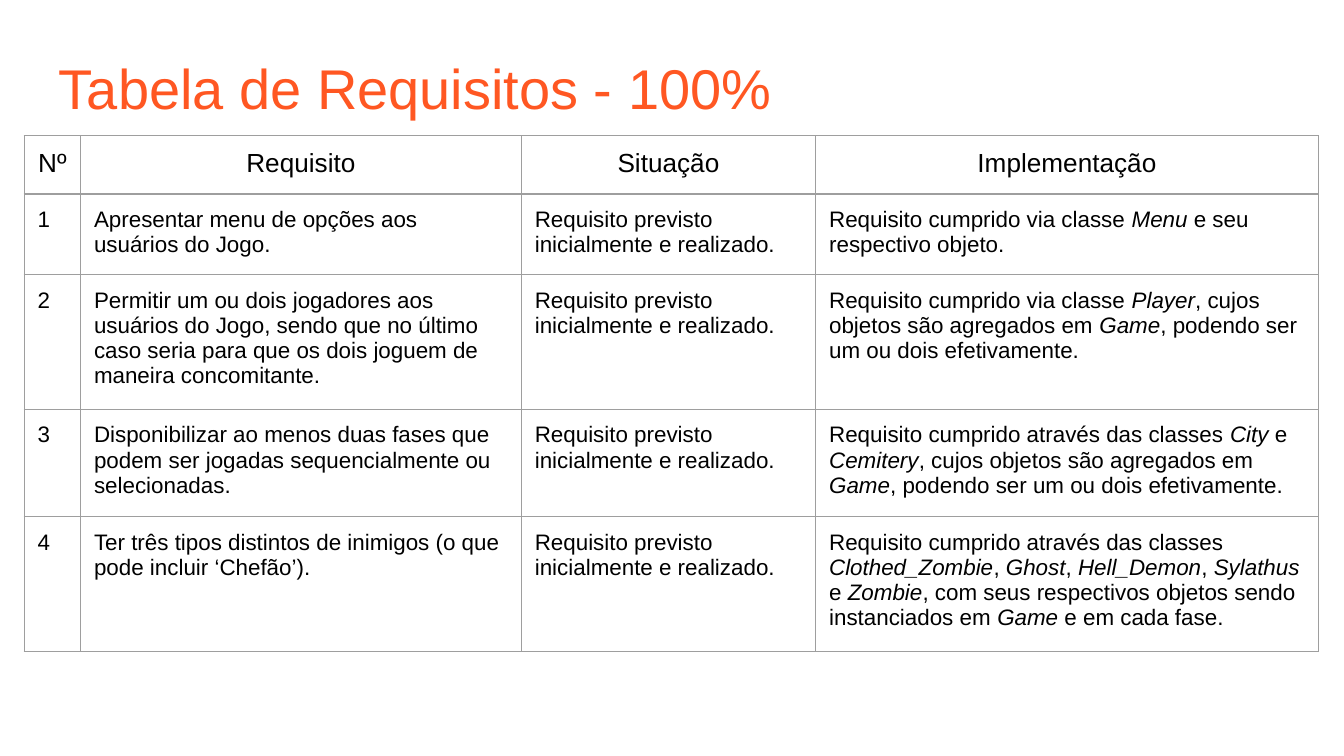
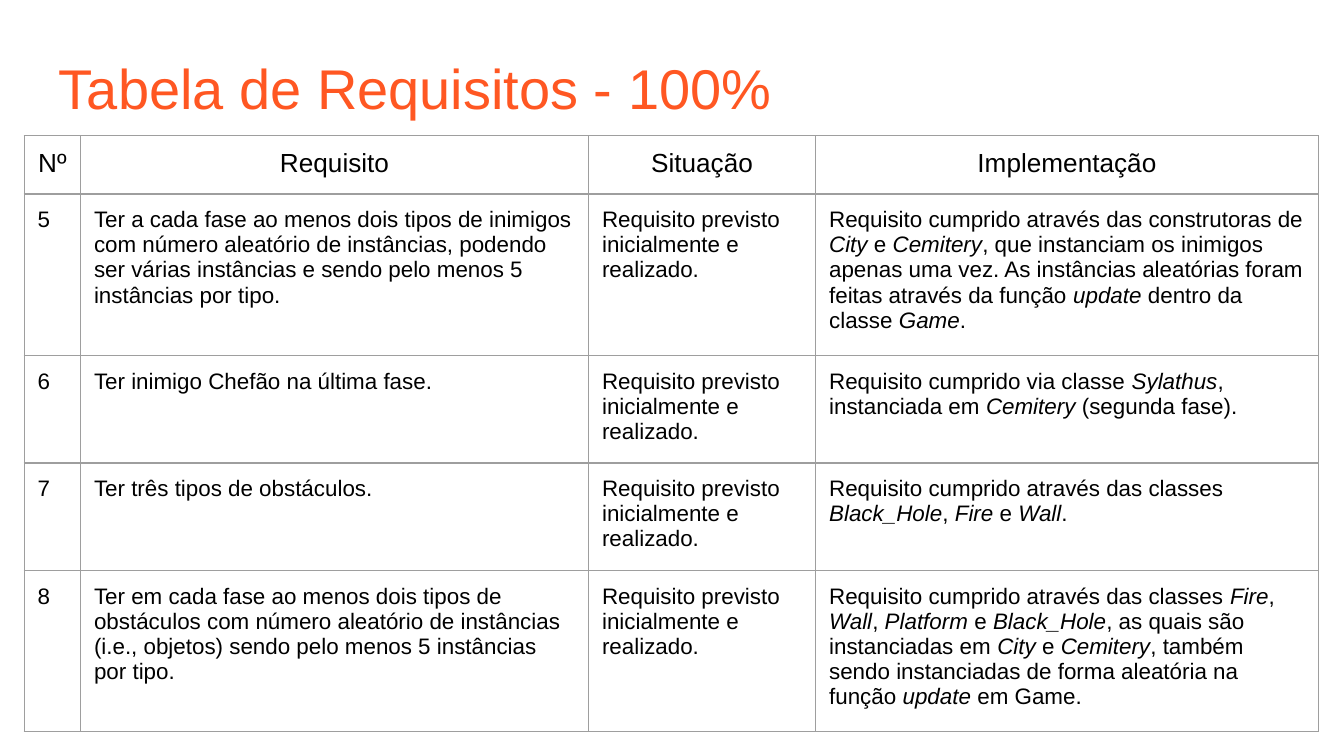
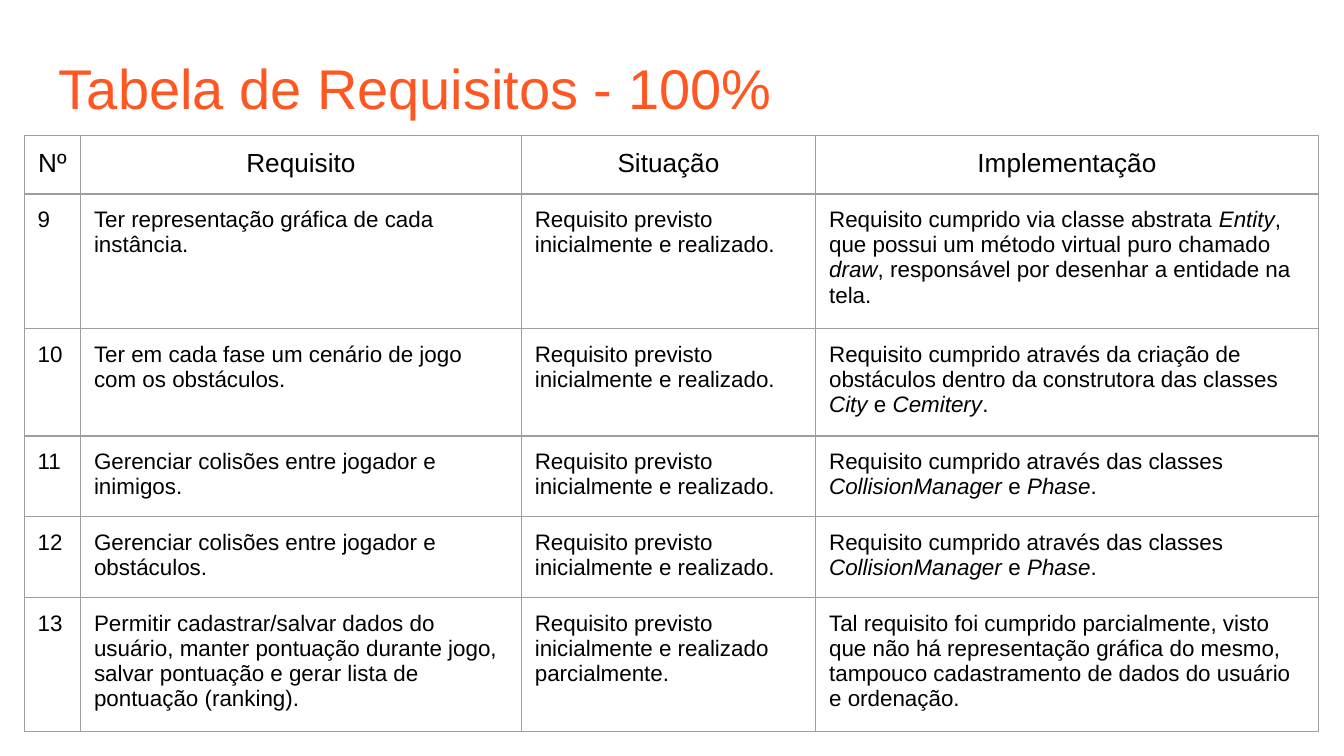
from lxml import etree
from pptx import Presentation
from pptx.dml.color import RGBColor
from pptx.enum.text import MSO_ANCHOR, PP_ALIGN
from pptx.oxml.ns import qn
from pptx.util import Inches, Pt

LEFT, CENTER = PP_ALIGN.LEFT, PP_ALIGN.CENTER
TOP = MSO_ANCHOR.TOP

FONT = "Arial"
ORANGE, BLACK, GRAY = "FF5722", "000000", "9E9E9E"
BORDER_WIDTH = Pt(0.75)
PADDING = Inches(0.1)
TITLE_BOX = (0.34, 0.25, 9.32, 0.63)
TITLE_TOP_PADDING = Inches(0.15)
TABLE_LEFT, TABLE_TOP, TABLE_WIDTH = 0.18, 1.01, 9.63
HEADER_HEIGHT, ROW_HEIGHT = 0.43, 0.42
NUMBER_WIDTH, IMPLEMENTATION_WIDTH = 0.42, 3.74

TITLE = "Tabela de Requisitos - 100%"
HEADERS = ("Nº", "Requisito", "Situação", "Implementação")
DONE = "Requisito previsto inicialmente e realizado."
PARTLY_DONE = "Requisito previsto inicialmente e realizado parcialmente."

# Each page: width of the "Situação" column, then (requirement, status,
# implementation) rows. Words between asterisks are italic.
PAGES = [
    (2.19, [
        ("Apresentar menu de opções aos usuários do Jogo.", DONE,
         "Requisito cumprido via classe *Menu* e seu respectivo objeto."),
        ("Permitir um ou dois jogadores aos usuários do Jogo, sendo que no "
         "último caso seria para que os dois joguem de maneira concomitante.", DONE,
         "Requisito cumprido via classe *Player*, cujos objetos são agregados "
         "em *Game*, podendo ser um ou dois efetivamente."),
        ("Disponibilizar ao menos duas fases que podem ser jogadas "
         "sequencialmente ou selecionadas.", DONE,
         "Requisito cumprido através das classes *City* e *Cemitery*, cujos "
         "objetos são agregados em *Game*, podendo ser um ou dois efetivamente."),
        ("Ter três tipos distintos de inimigos (o que pode incluir ‘Chefão’).", DONE,
         "Requisito cumprido através das classes *Clothed_Zombie*, *Ghost*, "
         "*Hell_Demon*, *Sylathus* e *Zombie*, com seus respectivos objetos "
         "sendo instanciados em *Game* e em cada fase."),
    ]),
    (1.69, [
        ("Ter a cada fase ao menos dois tipos de inimigos com número aleatório "
         "de instâncias, podendo ser várias instâncias e sendo pelo menos 5 "
         "instâncias por tipo.", DONE,
         "Requisito cumprido através das construtoras de *City* e *Cemitery*, "
         "que instanciam os inimigos apenas uma vez. As instâncias aleatórias "
         "foram feitas através da função *update* dentro da classe *Game*."),
        ("Ter inimigo Chefão na última fase.", DONE,
         "Requisito cumprido via classe *Sylathus*, instanciada em *Cemitery* "
         "(segunda fase)."),
        ("Ter três tipos de obstáculos.", DONE,
         "Requisito cumprido através das classes *Black_Hole*, *Fire* e *Wall*."),
        ("Ter em cada fase ao menos dois tipos de obstáculos com número "
         "aleatório de instâncias (i.e., objetos) sendo pelo menos 5 "
         "instâncias por tipo.", DONE,
         "Requisito cumprido através das classes *Fire*, *Wall*, *Platform* e "
         "*Black_Hole*, as quais são instanciadas em *City* e *Cemitery*, "
         "também sendo instanciadas de forma aleatória na função *update* em Game."),
    ]),
    (2.19, [
        ("Ter representação gráfica de cada instância.", DONE,
         "Requisito cumprido via classe abstrata *Entity*, que possui um método "
         "virtual puro chamado *draw*, responsável por desenhar a entidade na tela."),
        ("Ter em cada fase um cenário de jogo com os obstáculos.", DONE,
         "Requisito cumprido através da criação de obstáculos dentro da "
         "construtora das classes *City* e *Cemitery*."),
        ("Gerenciar colisões entre jogador e inimigos.", DONE,
         "Requisito cumprido através das classes *CollisionManager* e *Phase*."),
        ("Gerenciar colisões entre jogador e obstáculos.", DONE,
         "Requisito cumprido através das classes *CollisionManager* e *Phase*."),
        ("Permitir cadastrar/salvar dados do usuário, manter pontuação durante "
         "jogo, salvar pontuação e gerar lista de pontuação (ranking).", PARTLY_DONE,
         "Tal requisito foi cumprido parcialmente, visto que não há "
         "representação gráfica do mesmo, tampouco cadastramento de dados do "
         "usuário e ordenação."),
    ]),
]


def color(hex_code):
    return RGBColor.from_string(hex_code)


def write(frame, text, size=12, fill=BLACK, align=LEFT):
    """Fill a text frame, turning *marked* words italic."""
    frame.word_wrap = True
    paragraph = frame.paragraphs[0]
    paragraph.alignment = align
    for position, part in enumerate(text.split("*")):
        if part:
            run = paragraph.add_run()
            run.text = part
            run.font.name = FONT
            run.font.size = Pt(size)
            run.font.italic = position % 2 == 1
            run.font.color.rgb = color(fill)


def pad(holder):
    holder.margin_left = holder.margin_right = PADDING
    holder.margin_top = holder.margin_bottom = PADDING


def draw_borders(cell):
    properties = cell._tc.get_or_add_tcPr()
    for side in ("a:lnL", "a:lnR", "a:lnT", "a:lnB"):
        line = etree.SubElement(properties, qn(side), w=str(BORDER_WIDTH))
        paint = etree.SubElement(line, qn("a:solidFill"))
        etree.SubElement(paint, qn("a:srgbClr"), val=GRAY)


def add_title(slide):
    box = slide.shapes.add_textbox(*map(Inches, TITLE_BOX))
    frame = box.text_frame
    pad(frame)
    frame.margin_top = TITLE_TOP_PADDING
    frame.vertical_anchor = TOP
    write(frame, TITLE, size=30, fill=ORANGE)


def add_requirements(slide, status_width, requirements, first_number):
    rows = [HEADERS]
    for number, requirement in enumerate(requirements, first_number):
        rows.append((str(number), *requirement))
    height = HEADER_HEIGHT + ROW_HEIGHT * len(requirements)
    table = slide.shapes.add_table(
        len(rows), len(HEADERS), Inches(TABLE_LEFT), Inches(TABLE_TOP),
        Inches(TABLE_WIDTH), Inches(height)).table
    table.first_row = table.horz_banding = False

    requirement_width = (TABLE_WIDTH - NUMBER_WIDTH - status_width
                         - IMPLEMENTATION_WIDTH)
    widths = (NUMBER_WIDTH, requirement_width, status_width, IMPLEMENTATION_WIDTH)
    for column, width in zip(table.columns, widths):
        column.width = Inches(width)

    for r, texts in enumerate(rows):
        is_header = r == 0
        table.rows[r].height = Inches(HEADER_HEIGHT if is_header else ROW_HEIGHT)
        for c, text in enumerate(texts):
            cell = table.cell(r, c)
            pad(cell)
            draw_borders(cell)
            cell.fill.background()
            write(cell.text_frame, text, size=14 if is_header else 12,
                  align=CENTER if is_header else LEFT)


def main():
    deck = Presentation()
    deck.slide_width = Inches(10)
    deck.slide_height = deck.slide_width * 9 // 16
    blank = deck.slide_layouts[6]
    next_number = 1
    for status_width, requirements in PAGES:
        slide = deck.slides.add_slide(blank)
        add_title(slide)
        add_requirements(slide, status_width, requirements, next_number)
        next_number += len(requirements)
    deck.save("out.pptx")


if __name__ == "__main__":
    main()
